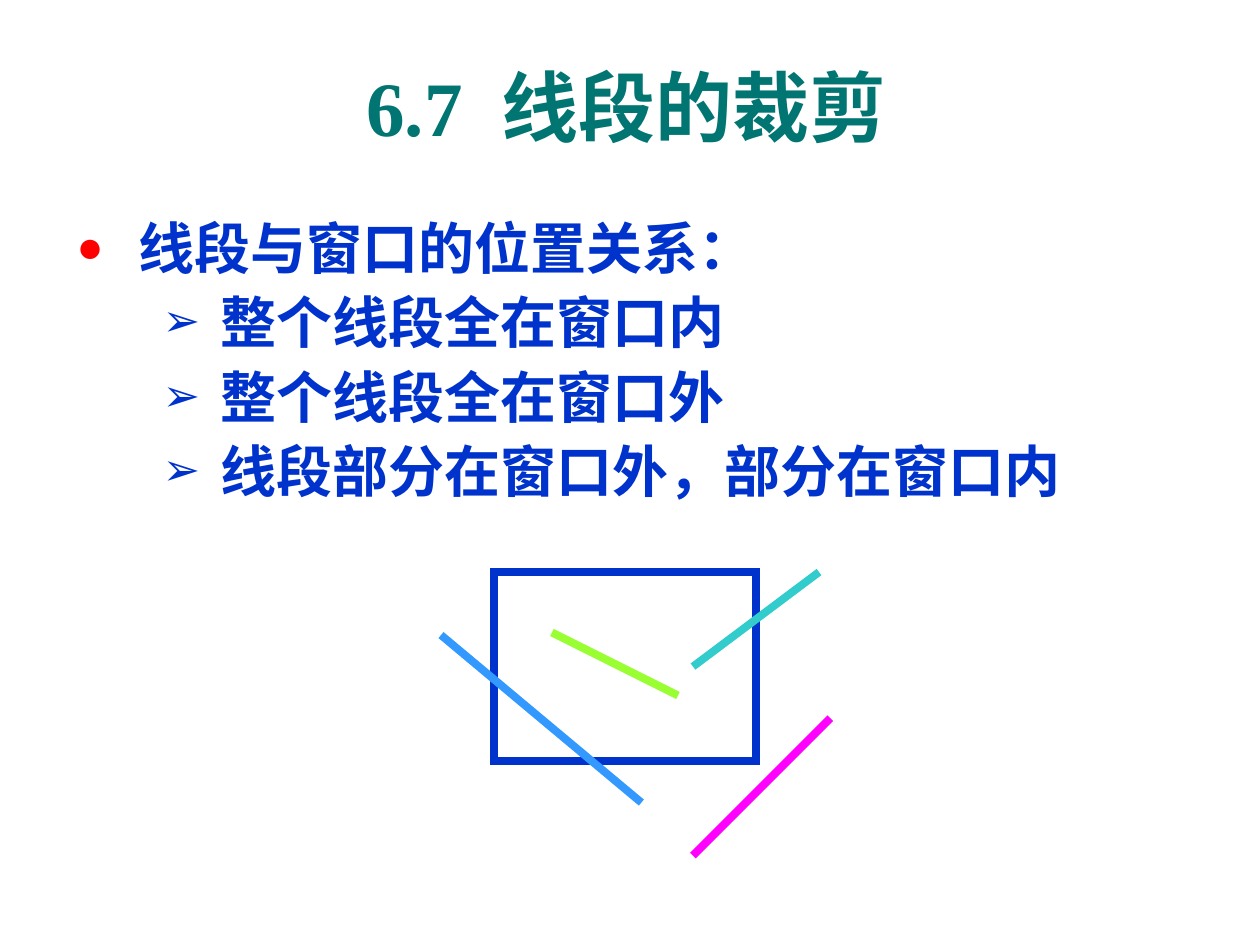
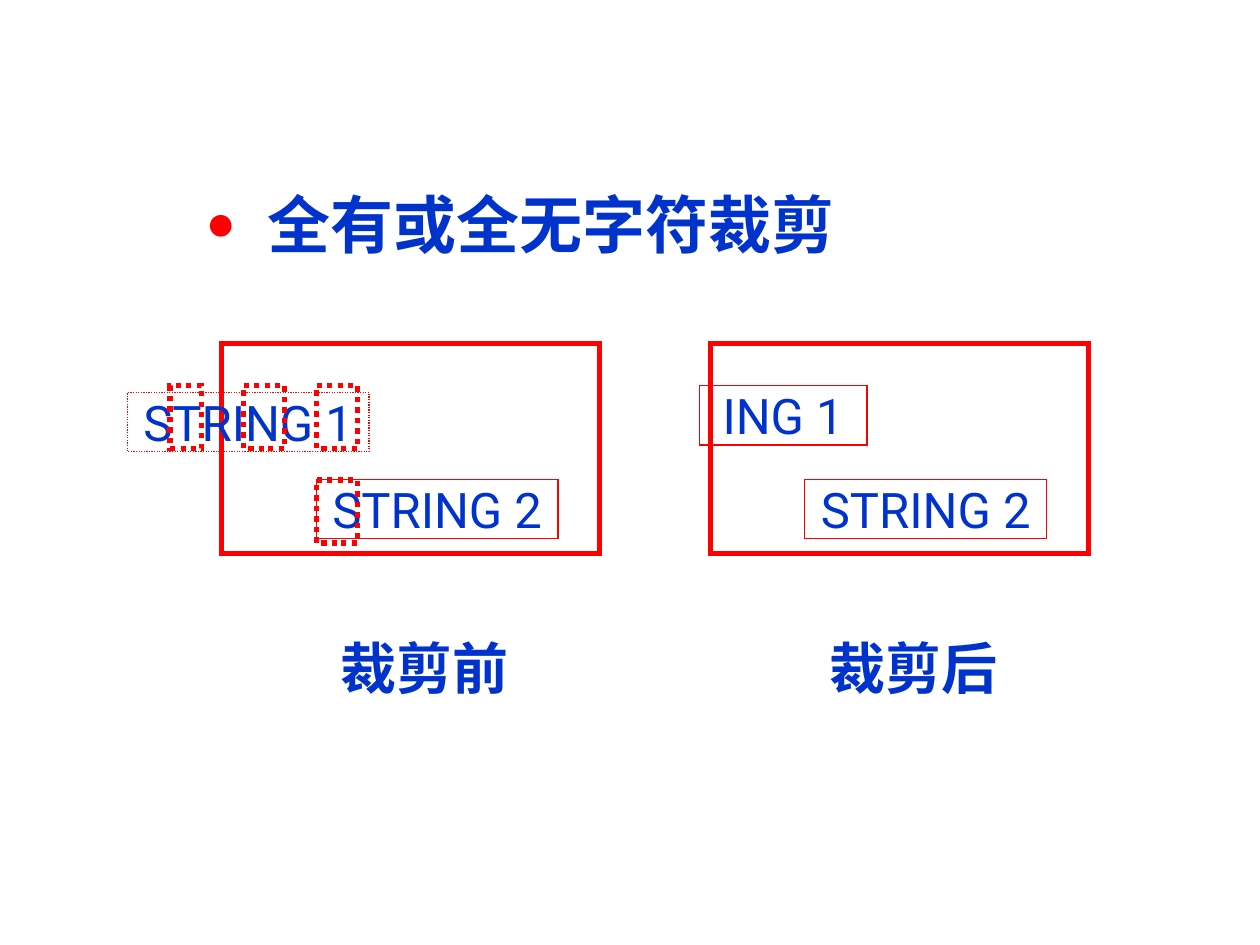
from typing import NamedTuple

from lxml import etree
from pptx import Presentation
from pptx import util as u
from pptx.dml.color import RGBColor
from pptx.enum import dml, shapes, text
from pptx.oxml import ns

BLUE, RED, TEAL = "0033CC", "FF0000", "007572"
CJK, SERIF, SANS, LABEL = "Noto Sans CJK SC", "Times New Roman", "Arial", "Roboto"
PANEL_PITCH = 279.2


class Style(NamedTuple):
    size: float
    font: str
    color: str = BLUE
    bold: bool = True


class Bullet(NamedTuple):
    char: str
    color: str
    level: int
    margin: float
    hanging: float


class Box(NamedTuple):
    left: float
    top: float
    width: float
    height: float
    line: float = 3
    color: str = RED
    dotted: bool = False
    label: str = ""


class Segment(NamedTuple):
    x1: float
    y1: float
    x2: float
    y2: float
    color: str


TITLE = Style(44, SERIF, TEAL)
BODY = Style(32, CJK)
HEADING = Style(36, SANS)
CAPTION = Style(32, LABEL)
STRING = Style(28, LABEL, bold=False)

DISC = Bullet("●", RED, 0, 35.3, 35.3)
ARROW = Bullet("➢", BLUE, 1, 82.3, 33.1)


def rgb(value: str) -> RGBColor:
    return RGBColor.from_string(value)


def style_paragraph(p, style: Style) -> None:
    for r in p.runs:
        r.font.size = u.Pt(style.size)
        r.font.name = style.font
        r.font.bold = style.bold
        r.font.color.rgb = rgb(style.color)
        ea = etree.SubElement(r._r.get_or_add_rPr(), ns.qn("a:ea"))
        ea.set("typeface", CJK)


def add_bullet(p, bullet: Bullet) -> None:
    p.level = bullet.level
    pPr = p._p.get_or_add_pPr()
    pPr.set("marL", str(u.Pt(bullet.margin)))
    pPr.set("indent", str(-u.Pt(bullet.hanging)))
    color = etree.SubElement(pPr, ns.qn("a:buClr"))
    etree.SubElement(color, ns.qn("a:srgbClr")).set("val", bullet.color)
    etree.SubElement(pPr, ns.qn("a:buSzPct")).set("val", "80000")
    etree.SubElement(pPr, ns.qn("a:buFont")).set("typeface", SANS)
    etree.SubElement(pPr, ns.qn("a:buChar")).set("char", bullet.char)


def add_text(slide, left: float, top: float, width: float, height: float):
    sp = slide.shapes.add_textbox(u.Pt(left), u.Pt(top), u.Pt(width), u.Pt(height))
    sp.text_frame.word_wrap = True
    return sp.text_frame


def center_text(tf, content: str, style: Style) -> None:
    tf.margin_left = tf.margin_right = tf.margin_top = tf.margin_bottom = 0
    tf.vertical_anchor = text.MSO_ANCHOR.MIDDLE
    tf.word_wrap = False
    tf.text = content
    p = tf.paragraphs[0]
    p.alignment = text.PP_ALIGN.CENTER
    style_paragraph(p, style)


def add_bullets(tf, items: list[tuple[Bullet, str]], style: Style,
                spacing: float, before: float = 0) -> None:
    for i, (bullet, content) in enumerate(items):
        p = tf.add_paragraph() if i else tf.paragraphs[0]
        p.text = content
        p.line_spacing = u.Pt(spacing)
        if i:
            p.space_before = u.Pt(before)
        add_bullet(p, bullet)
        style_paragraph(p, style)


def add_title(slide, number: str, name: str) -> None:
    tf = add_text(slide, 176, 22, 364, 65)
    tf.margin_top = tf.margin_bottom = 0
    tf.vertical_anchor = text.MSO_ANCHOR.BOTTOM
    p = tf.paragraphs[0]
    p.alignment = text.PP_ALIGN.CENTER
    for content in (number, " ", name):
        p.add_run().text = content
    style_paragraph(p, TITLE)
    p.runs[1]._r.get_or_add_rPr().set("spc", "1100")


def add_box(slide, box: Box) -> None:
    sp = slide.shapes.add_shape(shapes.MSO_SHAPE.RECTANGLE, u.Pt(box.left),
                                u.Pt(box.top), u.Pt(box.width), u.Pt(box.height))
    sp.shadow.inherit = False
    sp.fill.background()
    sp.line.color.rgb = rgb(box.color)
    sp.line.width = u.Pt(box.line)
    if box.dotted:
        sp.line.dash_style = dml.MSO_LINE.ROUND_DOT
    miter = etree.SubElement(sp._element.spPr.find(ns.qn("a:ln")), ns.qn("a:miter"))
    miter.set("lim", "800000")
    if box.label:
        center_text(sp.text_frame, box.label, STRING)


def add_segment(slide, seg: Segment) -> None:
    line = slide.shapes.add_connector(shapes.MSO_CONNECTOR.STRAIGHT, u.Pt(seg.x1),
                                      u.Pt(seg.y1), u.Pt(seg.x2), u.Pt(seg.y2))
    line.line.color.rgb = rgb(seg.color)
    line.line.width = u.Pt(4.5)
    etree.SubElement(line._element.spPr, ns.qn("a:effectLst"))


def build_segment_clipping(slide) -> None:
    items = [
        (DISC, "线段与窗口的位置关系："),
        (ARROW, "整个线段全在窗口内"),
        (ARROW, "整个线段全在窗口外"),
        (ARROW, "线段部分在窗口外，部分在窗口内"),
    ]
    add_bullets(add_text(slide, 36.7, 122, 640.8, 169.2), items, BODY, 34.6, 8)
    add_title(slide, "6.7", "线段的裁剪")
    add_box(slide, Box(282.2, 326.9, 150, 108, 4.5, BLUE))
    for seg in (
        Segment(396, 380.9, 468, 326.9, "33CCCC"),
        Segment(315.4, 361.4, 387.4, 397.4, "99FF33"),
        Segment(252, 362.9, 366.5, 458.6, "3399FF"),
        Segment(396, 488.9, 474.5, 410.4, "FF00FF"),
    ):
        add_segment(slide, seg)


def build_character_clipping(slide) -> None:
    add_bullets(add_text(slide, 110.4, 107.5, 436.3, 41.8),
                [(DISC, "全有或全无字符裁剪")], HEADING, 38.2)
    first_strings = (
        Box(72.7, 224.4, 138.2, 33.8, 0.75, dotted=True, label="STRING 1"),
        Box(399.6, 220.5, 95.8, 33.8, 0.75, label="ING 1"),
    )
    for i, caption in enumerate(("裁剪前", "裁剪后")):
        shift = i * PANEL_PITCH
        add_box(slide, Box(126.8 + shift, 196.4, 216, 120))
        add_box(slide, first_strings[i])
        add_box(slide, Box(180.7 + shift, 274.1, 138.2, 33.8, 0.75, label="STRING 2"))
        center_text(add_text(slide, 194.4 + shift, 362.2, 96.5, 38.2), caption, CAPTION)
    for left, top, width in ((97.2, 220.3, 18), (180.7, 274.3, 23.8),
                             (180.7, 220.3, 23.8), (139, 220.3, 23.8)):
        add_box(slide, Box(left, top, width, 36, dotted=True))


def main() -> None:
    prs = Presentation()
    prs.slide_width, prs.slide_height = u.Pt(720), u.Pt(540)
    for build in (build_segment_clipping, build_character_clipping):
        build(prs.slides.add_slide(prs.slide_layouts[6]))
    prs.save("out.pptx")


if __name__ == "__main__":
    main()
